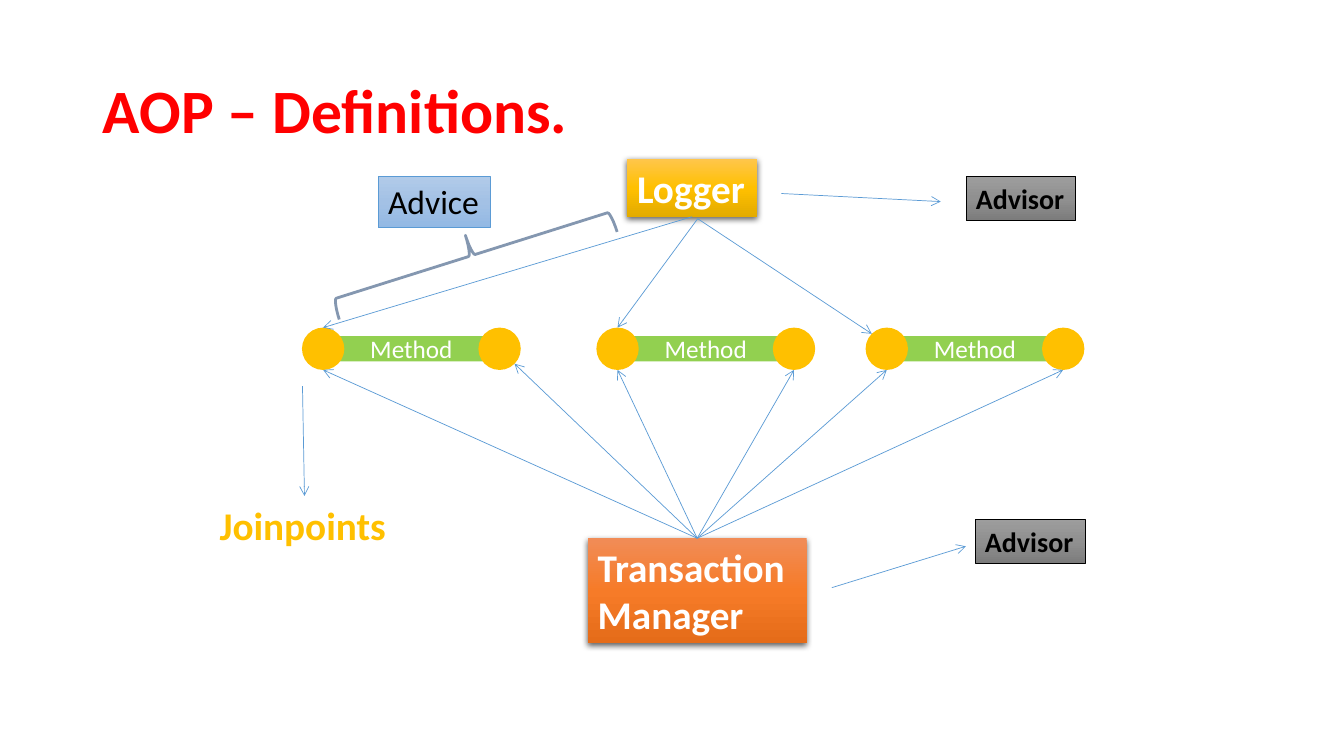
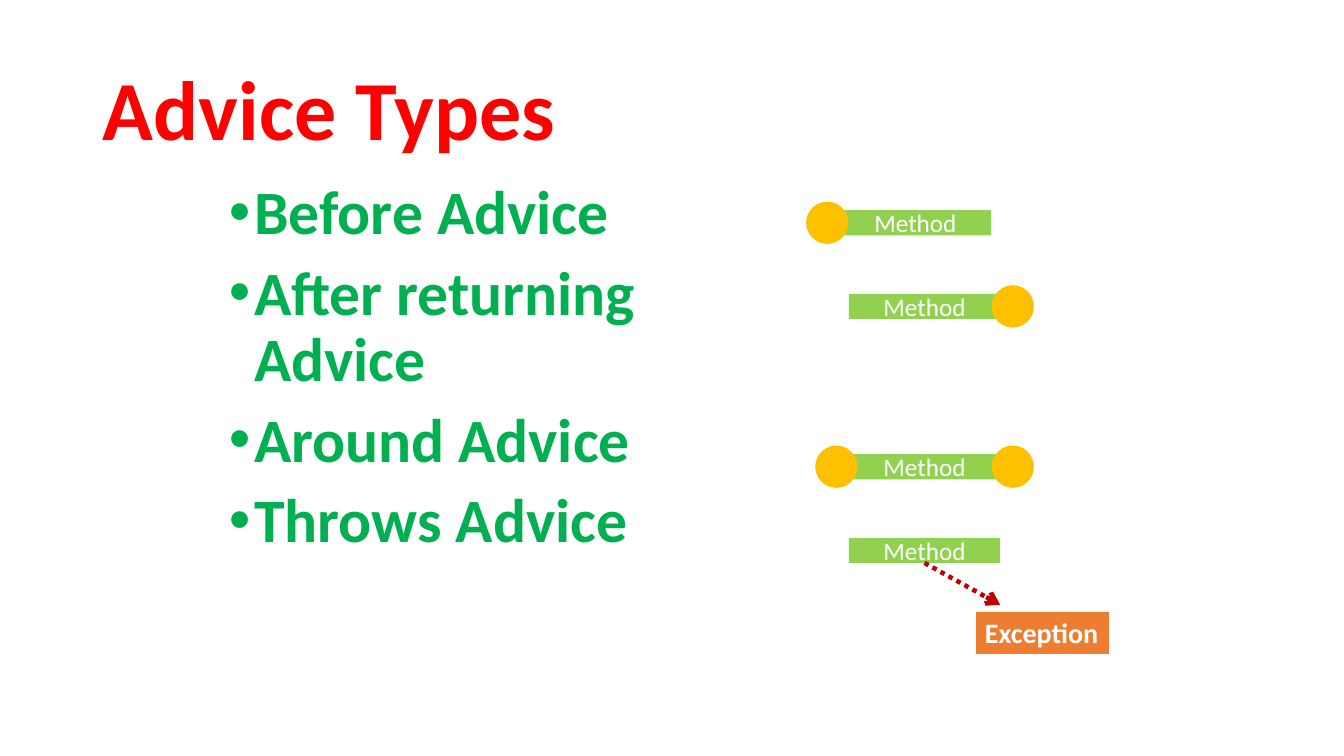
"""Build two slides on AOP: its definitions and its advice types."""
from copy import deepcopy
from math import cos, radians, sin

from lxml.etree import SubElement
from pptx import Presentation
from pptx.dml.color import RGBColor
from pptx.enum.dml import MSO_LINE
from pptx.enum.shapes import MSO_CONNECTOR, MSO_SHAPE
from pptx.enum.text import MSO_ANCHOR, MSO_AUTO_SIZE, PP_ALIGN
from pptx.oxml.ns import qn
from pptx.util import Inches, Pt

THEME = dict(
    font="Calibri", red="FF0000", green="00B050", white="FFFFFF", black="000000",
    gold="FFC000", lime="92D050", blue="5B9BD5", slate="8497B0", dark="C00000",
    orange="ED7D31",
    sunny=("FFC64B", "FFC000", "E3AB00"), amber=("F18C57", "F67B28", "E56C19"),
    sky=("B1CBE9", "A3C1E5", "93B9E4"), grey=("9D9D9D", "909090", "7C7C7C"),
    small=18, label=20, mid=24, large=28, head=44, huge=60)

BAR_W, BAR_H, DOT = 1.5, 0.25, 0.42
OUT = 0.125
ROW = 3.46
BARS = [3.33, 6.25, 8.92]

LOGGER = dict(text="Logger", at=(6.22, 1.58, 1.29, 0.57), fill="sunny",
              size="large", bold=True, shade=True)
MANAGER = dict(text="Transaction Manager", at=(5.83, 5.34, 2.17, 1.04), fill="amber",
               size="large", bold=True, shade=True, wrap=True)
ADVISOR = dict(text="Advisor", fill="grey", size="label", color="black",
               bold=True, line=("black", 0.5))
LABELS = [
    dict(text="Joinpoints", at=(2.08, 4.92, 1.87, 0.57), size="large",
         color="gold", bold=True),
    dict(text="Advice", at=(3.75, 1.75, 1.11, 0.51), fill="sky", size="mid",
         color="black", line=("blue", 0.5)),
    dict(ADVISOR, at=(9.58, 1.75, 1.09, 0.44)),
    dict(ADVISOR, at=(9.67, 5.15, 1.09, 0.44))]
FAULT = dict(text="Exception", at=(9.67, 6.06, 1.34, 0.44), fill="orange",
             size="label", bold=True, line=("white", 1.5))
FORK = (6.92, 2.17)
NOTES = [((3, 3.83), (3.02, 4.92)), ((7.75, 1.92), (9.33, 2)), ((8.25, 5.83), (9.58, 5.42))]

TYPES = ["Before Advice", "After returning Advice", "Around Advice", "Throws Advice"]
CASES = [(8.33, 2.21, "L"), (8.42, 3.04, "R"), (8.42, 4.63, "LR"), (8.42, 5.46, "")]


def rgb(name):
    """Return a theme colour."""
    return RGBColor.from_string(THEME[name])


def put(thing, **values):
    """Set each given attribute."""
    for name, value in values.items():
        setattr(thing, name, value)


def style(font, size, color, bold=False):
    """Format a font from the theme."""
    put(font, name=THEME["font"], size=Pt(THEME[size]), bold=bold)
    font.color.rgb = rgb(color)


def paint(shape, fill=None, line=None):
    """Set the fill, a plain colour or a gradient, and the outline."""
    shape.shadow.inherit = False
    if fill is None:
        shape.fill.background()
    elif isinstance(THEME[fill], tuple):
        shape.fill.gradient()
        shape.fill.gradient_angle = 270
        stops = shape.element.spPr.find(".//" + qn("a:gsLst"))
        stops.append(deepcopy(stops[0]))
        for stop, color, place in zip(shape.fill.gradient_stops, THEME[fill], (0, 0.5, 1)):
            stop.color.rgb = RGBColor.from_string(color)
            stop.position = place
    else:
        shape.fill.solid()
        shape.fill.fore_color.rgb = rgb(fill)
    if line:
        shape.line.color.rgb = rgb(line[0])
        shape.line.width = Pt(line[1])
    else:
        shape.line.fill.background()


def form(slide, kind, at, fill=None, line=None):
    """Add a preset shape."""
    shape = slide.shapes.add_shape(kind, *map(Inches, at))
    paint(shape, fill, line)
    return shape


def cast(shape):
    """Drop a soft shadow below the shape."""
    effects = shape.element.spPr.find(qn("a:effectLst"))
    outer = SubElement(effects, qn("a:outerShdw"), blurRad=str(Pt(4.5)),
                       dist=str(Pt(1.5)), dir="5400000", algn="ctr", rotWithShape="0")
    color = SubElement(outer, qn("a:srgbClr"), val=THEME["black"])
    SubElement(color, qn("a:alpha"), val="63000")


def box(slide, text, at, size, fill=None, color="white", bold=False, line=None,
        shade=False, wrap=False):
    """Add a label that fits its text."""
    if fill:
        shape = form(slide, MSO_SHAPE.RECTANGLE, at, fill, line)
    else:
        shape = slide.shapes.add_textbox(*map(Inches, at))
    if shade:
        cast(shape)
    frame = shape.text_frame
    put(frame, text=text, word_wrap=wrap, vertical_anchor=MSO_ANCHOR.TOP,
        auto_size=MSO_AUTO_SIZE.SHAPE_TO_FIT_TEXT)
    frame.paragraphs[0].alignment = PP_ALIGN.LEFT
    style(frame.paragraphs[0].font, size, color, bold)
    return shape


def method(slide, x, mid, ends):
    """Add a method bar with a dot at each named end."""
    bar = form(slide, MSO_SHAPE.RECTANGLE, (x, mid - BAR_H / 2, BAR_W, BAR_H), "lime")
    bar.text_frame.text = "Method"
    put(bar.text_frame, vertical_anchor=MSO_ANCHOR.MIDDLE)
    para = bar.text_frame.paragraphs[0]
    para.alignment = PP_ALIGN.CENTER
    style(para.font, "small", "white")
    for end in ends:
        form(slide, MSO_SHAPE.OVAL,
             (hub(x, end) - DOT / 2, mid - DOT / 2, DOT, DOT), "gold")
    return bar


def hub(x, end):
    """Return the centre of the dot at one end of a bar."""
    return x - OUT if end == "L" else x + BAR_W + OUT


def rim(x, end, angle):
    """Return a point on a dot's edge, clockwise from the right."""
    turn = radians(angle)
    return hub(x, end) + DOT / 2 * cos(turn), ROW + DOT / 2 * sin(turn)


def arrow(slide, start, end, color="blue", width=0.5, dash=None, source=None, site=0):
    """Add an arrow, joined to its source if there is one."""
    link = slide.shapes.add_connector(MSO_CONNECTOR.STRAIGHT, *map(Inches, start + end))
    if source is not None:
        link.begin_connect(source, site)
    link.line.color.rgb = rgb(color)
    put(link.line, width=Pt(width), dash_style=dash)
    SubElement(link.line._get_or_add_ln(), qn("a:tailEnd"), type="arrow")
    SubElement(link.element.spPr, qn("a:effectLst"))


def place(holder, at, anchor):
    """Move a placeholder and fix its frame."""
    put(holder, **dict(zip(("left", "top", "width", "height"), map(Inches, at))))
    put(holder.text_frame, word_wrap=True, auto_size=MSO_AUTO_SIZE.NONE,
        vertical_anchor=anchor)


def page(deck, layout, title, size):
    """Add a slide with the shared title style."""
    slide = deck.slides.add_slide(deck.slide_layouts[layout])
    head = slide.shapes.title
    place(head, (0.92, 0.4, 11.5, 1.45), MSO_ANCHOR.MIDDLE)
    head.text_frame.text = title
    para = head.text_frame.paragraphs[0]
    put(para, alignment=PP_ALIGN.LEFT, line_spacing=0.9)
    style(para.font, size, "red", True)
    return slide


def terms(deck):
    """Build the slide of definitions."""
    slide = page(deck, 5, "AOP – Definitions.", "head")
    for x in BARS:
        method(slide, x, ROW, "LR")
    logger, manager = box(slide, **LOGGER), box(slide, **MANAGER)
    first, second, third = BARS
    arrow(slide, FORK, rim(first, "L", 270), source=logger, site=2)
    arrow(slide, FORK, rim(second, "L", 270))
    arrow(slide, FORK, rim(third, "L", 225))
    for x in BARS:
        for end in "LR":
            angle = 45 if (x, end) == (first, "R") else 90
            arrow(slide, (6.92, 5.34), rim(x, end, angle), source=manager)
    for start, end in NOTES:
        arrow(slide, start, end)
    brace = form(slide, MSO_SHAPE.RIGHT_BRACE, (4.47, 1.09, 0.42, 2.89), line=("slate", 2))
    brace.rotation = 252.5
    for label in LABELS:
        box(slide, **label)


def kinds(deck):
    """Build the slide of advice types."""
    slide = page(deck, 1, "Advice Types", "huge")
    body = slide.placeholders[1]
    place(body, (2.17, 1.75, 4.92, 4.95), MSO_ANCHOR.TOP)
    frame = body.text_frame
    frame.text = "\n".join(TYPES)
    for rank, para in enumerate(frame.paragraphs):
        put(para, alignment=PP_ALIGN.LEFT, line_spacing=0.9,
            space_before=Pt(10 if rank else 0))
        props = para._p.get_or_add_pPr()
        props.set("marL", str(Inches(0.25)))
        props.set("indent", str(Inches(-0.25)))
        SubElement(props, qn("a:buFont"), typeface="Arial")
        SubElement(props, qn("a:buChar"), char="•")
        style(para.font, "head", "green", True)
    bars = [method(slide, *case) for case in CASES]
    arrow(slide, (9.17, 5.58), (9.92, 6), "dark", 3.25, MSO_LINE.ROUND_DOT, bars[-1], 2)
    box(slide, **FAULT)


def main():
    """Make and save the deck."""
    deck = Presentation()
    put(deck, slide_width=Inches(13.33), slide_height=Inches(7.5))
    terms(deck)
    kinds(deck)
    deck.save("out.pptx")


if __name__ == "__main__":
    main()
